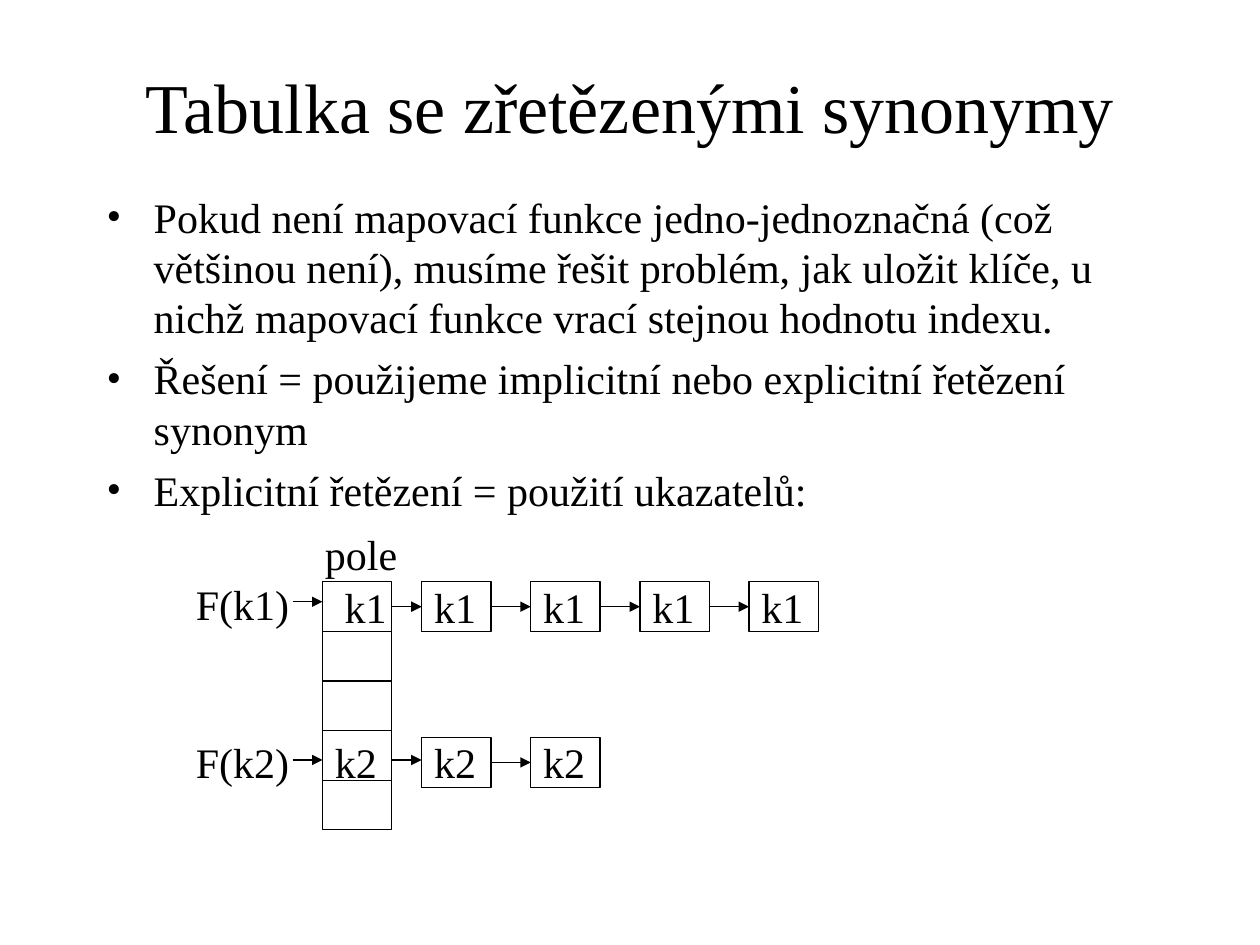
from lxml import etree
from pptx import Presentation
from pptx.dml.color import RGBColor
from pptx.enum.shapes import MSO_CONNECTOR, MSO_SHAPE
from pptx.enum.text import MSO_ANCHOR, MSO_AUTO_SIZE, PP_ALIGN
from pptx.oxml.ns import qn
from pptx.util import Cm, Pt

RECT = MSO_SHAPE.RECTANGLE
LINE = MSO_CONNECTOR.STRAIGHT
LEFT, CENTER = PP_ALIGN.LEFT, PP_ALIGN.CENTER
TOP, MIDDLE = MSO_ANCHOR.TOP, MSO_ANCHOR.MIDDLE
GROW = MSO_AUTO_SIZE.SHAPE_TO_FIT_TEXT
FIXED = MSO_AUTO_SIZE.NONE

COLORS = {"ink": "000000", "paper": "FFFFFF"}
FONT = "Times New Roman"
CELL_W, CELL_H = 1.4, 1
PITCH = 2.2
TEXT_H = 1.27


def color(name):
    return RGBColor.from_string(COLORS[name])


def add_bullet(par, indent):
    props = par._p.get_or_add_pPr()
    props.set("marL", str(Cm(indent)))
    props.set("indent", str(-Cm(indent)))
    font = etree.Element(qn("a:buFont"), typeface=FONT)
    mark = etree.Element(qn("a:buChar"), char="•")
    spot = props.index(props.find(qn("a:defRPr")))
    props[spot:spot] = [font, mark]


def add_text(slide, text, box, size=24, align=LEFT, anchor=TOP,
             wrap=False, bullet=False, before=0):
    frame = slide.shapes.add_textbox(*map(Cm, box)).text_frame
    frame.word_wrap = wrap
    frame.auto_size = FIXED if wrap else GROW
    frame.vertical_anchor = anchor
    frame.text = text
    for par in frame.paragraphs:
        par.alignment = align
        par.space_before = Pt(before)
        for font in (par.font, par.runs[0].font):
            font.size = Pt(size)
            font.name = FONT
            font.color.rgb = color("ink")
        if bullet:
            add_bullet(par, 0.95)


def add_cell(slide, x, y):
    cell = slide.shapes.add_shape(RECT, Cm(x), Cm(y), Cm(CELL_W), Cm(CELL_H))
    cell.shadow.inherit = False
    cell.fill.background()
    cell.line.color.rgb = color("ink")
    cell.line.width = Pt(0.75)


def add_arrow(slide, start, end, y):
    arrow = slide.shapes.add_connector(LINE, Cm(start), Cm(y), Cm(end), Cm(y))
    arrow.line.color.rgb = color("ink")
    arrow.line.width = Pt(0.75)
    tail = etree.SubElement(arrow.line._get_or_add_ln(), qn("a:tailEnd"))
    tail.set("type", "triangle")
    etree.SubElement(arrow._element.spPr, qn("a:effectLst"))


def add_title(slide, box):
    add_text(slide, "Tabulka se zřetězenými synonymy", box, size=40,
             align=CENTER, anchor=MIDDLE, wrap=True)


def add_body(slide, box):
    points = [
        "Pokud není mapovací funkce jedno-jednoznačná (což většinou není), "
        "musíme řešit problém, jak uložit klíče, u nichž mapovací funkce "
        "vrací stejnou hodnotu indexu.",
        "Řešení = použijeme implicitní nebo explicitní řetězení synonym",
        "Explicitní řetězení = použití ukazatelů:",
    ]
    add_text(slide, "\n".join(points), box, wrap=True, bullet=True, before=6)


def add_array(slide, x, y, count):
    add_text(slide, "pole", (x - 0.2, y - 1.21, 2.05, TEXT_H))
    for row in range(count):
        add_cell(slide, x, y + row * CELL_H)


def add_chain(slide, x, y, key, count, shift, call_y, call_mid, head_mid):
    add_text(slide, f"F({key})", (x - 2.8, call_y, 2.45, TEXT_H))
    add_arrow(slide, x - 0.6, x, call_mid)
    add_text(slide, key, (x + shift, y - 0.14, CELL_W, TEXT_H))
    end = x + CELL_W
    for step in range(count):
        left = x + 2 + step * PITCH
        mid = y + CELL_H / 2 if step else head_mid
        add_cell(slide, left, y)
        add_text(slide, key, (left, y - 0.14, CELL_W, TEXT_H))
        add_arrow(slide, end, left, mid)
        end = left + CELL_W


def add_table(slide, x, y):
    left, top, low = x + 2.8, y + 1.23, y + 4.37
    add_array(slide, left, top, 5)
    add_chain(slide, left, top, "k1", 4, 0.2,
              top - 0.2, top + 0.4, top + 0.5)
    add_chain(slide, left, low, "k2", 2, 0,
              low - 0.14, low + 0.45, low + 0.45)


def main():
    deck = Presentation()
    deck.slide_width, deck.slide_height = Cm(25.4), Cm(19.05)
    slide = deck.slides.add_slide(deck.slide_layouts[6])
    slide.background.fill.solid()
    slide.background.fill.fore_color.rgb = color("paper")
    add_title(slide, (1.9, 0.53, 21.6, 3.18))
    add_body(slide, (1.9, 3.73, 21.8, 7.42))
    add_table(slide, 3.7, 10.5)
    deck.save("out.pptx")


if __name__ == "__main__":
    main()
